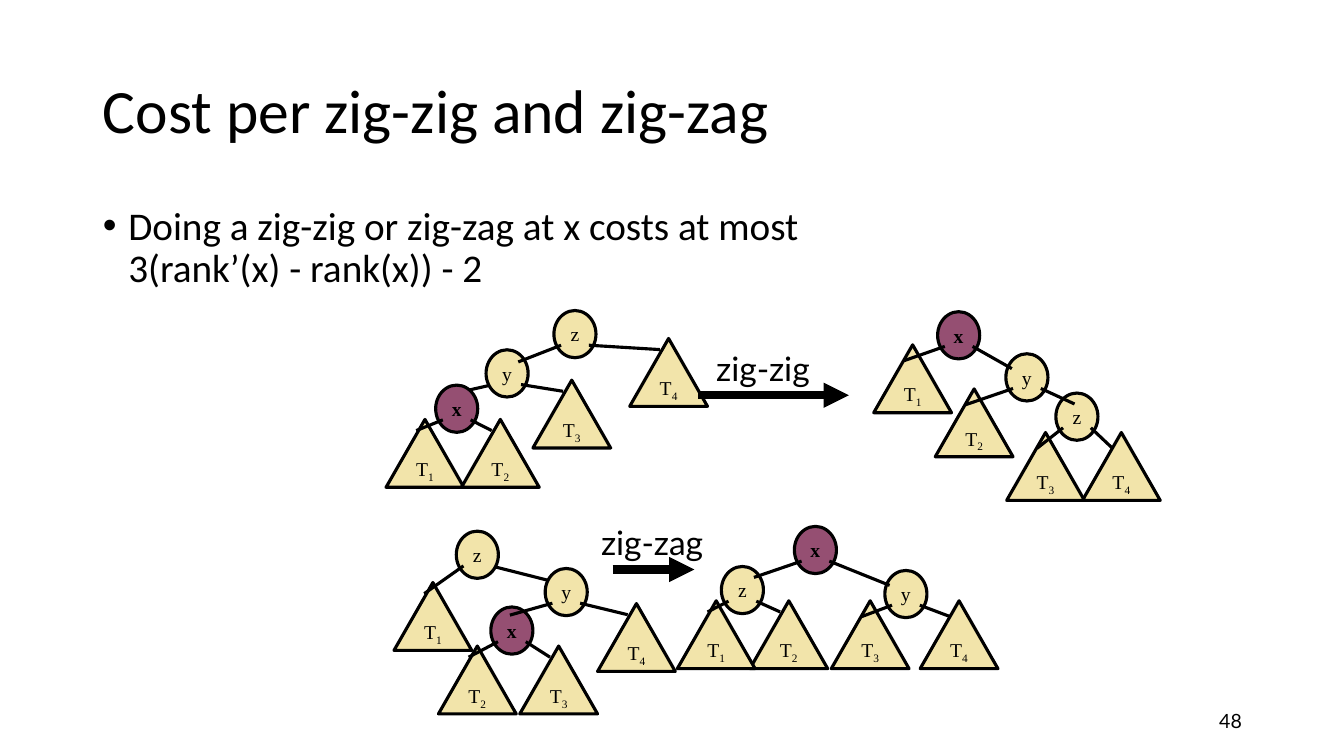
from dataclasses import dataclass

from lxml.etree import SubElement
from pptx import Presentation
from pptx.dml.color import RGBColor
from pptx.enum.shapes import MSO_CONNECTOR as Connector, MSO_SHAPE as Preset
from pptx.enum.text import MSO_ANCHOR as Anchor, MSO_AUTO_SIZE as AutoSize, PP_ALIGN as Align
from pptx.oxml.ns import qn
from pptx.util import Cm, Pt


@dataclass(frozen=True)
class Theme:
    ink: str = "000000"
    sand: str = "F2E4AA"
    plum: str = "954F72"
    heading_font: str = "Calibri"
    label_font: str = "Lato"
    tree_font: str = "Times New Roman"
    title_size: int = 44
    body_size: int = 28
    label_size: int = 24
    small_size: int = 14
    thin: float = 2.25
    thick: float = 6


@dataclass(frozen=True)
class Node:
    name: str
    x: float
    y: float
    parent: str = ""
    entry: tuple = (-0.22, 0.28)
    behind: bool = False


LOW_ENTRY = (-0.22, 0.4)
CIRCLE = (1.06, 1.19)
TRIANGLE = (1.96, 1.71)
EXIT = (0.35, 0.28)

ZIG_ZIG_BEFORE = [
    Node("y", 12.78, 9.41, "z", (0.28, -0.29)),
    Node("x", 11.51, 10.3, "y", (-0.05, -0.39), behind=True),
    Node("T1", 10.71, 10.57, "x"),
    Node("T2", 12.61, 10.57, "x"),
    Node("T3", 14.41, 9.58, "y"),
    Node("z", 14.49, 8.42),
    Node("T4", 16.85, 8.53, "z"),
]
ZIG_ZIG_AFTER = [
    Node("y", 25.88, 9.51, "x", (-0.38, -0.22)),
    Node("z", 27.14, 10.5, "y", (-0.06, -0.32)),
    Node("T4", 28.26, 10.9, "z", LOW_ENTRY),
    Node("T3", 26.35, 10.9, "z", LOW_ENTRY),
    Node("T2", 24.55, 9.8, "y", LOW_ENTRY),
    Node("x", 24.16, 8.45),
    Node("T1", 23, 8.69, "x", LOW_ENTRY),
]
ZIG_ZAG_BEFORE = [
    Node("y", 14.27, 14.92, "z", (-0.43, -0.29), behind=True),
    Node("x", 12.9, 15.89, "y", (-0.05, -0.39)),
    Node("T2", 12.03, 16.28, "x"),
    Node("T3", 14.08, 16.28, "x"),
    Node("T4", 16.04, 15.21, "y"),
    Node("z", 12.03, 13.98),
    Node("T1", 10.91, 14.68, "z"),
]
ZIG_ZAG_AFTER = [
    Node("y", 22.83, 14.97, "x", (-0.41, -0.22)),
    Node("x", 20.55, 13.86),
    Node("T2", 19.88, 15.14, "z"),
    Node("T3", 21.93, 15.14, "y", LOW_ENTRY),
    Node("T4", 24.17, 15.14, "y", LOW_ENTRY),
    Node("z", 18.71, 14.87, "x", (0.29, -0.32)),
    Node("T1", 18.05, 15.14, "z"),
]


class SlideBuilder:
    def __init__(self, slide, theme):
        self.slide = slide
        self.theme = theme

    def format_run(self, run, font, size, bold=False):
        run.font.name = font
        run.font.size = Pt(size)
        run.font.bold = bold
        run.font.color.rgb = RGBColor.from_string(self.theme.ink)

    def fill_placeholder(self, holder, text, box, size, anchor):
        holder.left, holder.top, holder.width, holder.height = map(Cm, box)
        frame = holder.text_frame
        frame.text = text
        frame.auto_size = AutoSize.NONE
        frame.vertical_anchor = anchor
        paragraph = frame.paragraphs[0]
        paragraph.alignment = Align.LEFT
        paragraph.line_spacing = 0.9
        paragraph.space_before = Pt(0)
        for run in paragraph.runs:
            self.format_run(run, self.theme.heading_font, size)
        return paragraph

    def title(self, text, box):
        self.fill_placeholder(self.slide.shapes.title, text, box, self.theme.title_size, Anchor.MIDDLE)

    def bullet(self, text, box):
        paragraph = self.fill_placeholder(
            self.slide.placeholders[1], text, box, self.theme.body_size, Anchor.TOP)
        properties = paragraph._p.get_or_add_pPr()
        properties.set("marL", str(Cm(0.64)))
        properties.set("indent", str(Cm(-0.64)))
        SubElement(properties, qn("a:buFont")).set("typeface", "Arial")
        SubElement(properties, qn("a:buChar")).set("char", "•")

    def label(self, text, box, size, align=Align.CENTER):
        frame = self.slide.shapes.add_textbox(*map(Cm, box)).text_frame
        frame.text = text
        frame.word_wrap = False
        frame.vertical_anchor = Anchor.MIDDLE
        frame.paragraphs[0].alignment = align
        self.format_run(frame.paragraphs[0].runs[0], self.theme.label_font, size)

    def line(self, start, end, weight):
        connector = self.slide.shapes.add_connector(Connector.STRAIGHT, *map(Cm, (*start, *end)))
        connector.line.color.rgb = RGBColor.from_string(self.theme.ink)
        connector.line.width = Pt(weight)
        SubElement(connector._element.spPr, qn("a:effectLst"))
        return connector

    def arrow(self, start, end):
        connector = self.line(start, end, self.theme.thick)
        SubElement(connector.line._get_or_add_ln(), qn("a:tailEnd")).set("type", "triangle")

    def node(self, node):
        subtree = node.name.startswith("T")
        pivot = node.name == "x"
        width, height = TRIANGLE if subtree else CIRCLE
        top = node.y if subtree else node.y - height / 2
        preset = Preset.ISOSCELES_TRIANGLE if subtree else Preset.OVAL
        shape = self.slide.shapes.add_shape(
            preset, Cm(node.x - width / 2), Cm(top), Cm(width), Cm(height))
        shape.shadow.inherit = False
        shape.fill.solid()
        shape.fill.fore_color.rgb = RGBColor.from_string(self.theme.plum if pivot else self.theme.sand)
        shape.line.color.rgb = RGBColor.from_string(self.theme.ink)
        shape.line.width = Pt(self.theme.thin)
        frame = shape.text_frame
        frame.word_wrap = False
        frame.vertical_anchor = Anchor.MIDDLE
        paragraph = frame.paragraphs[0]
        paragraph.alignment = Align.CENTER
        for letter in node.name:
            run = paragraph.add_run()
            run.text = letter
            self.format_run(run, self.theme.tree_font, self.theme.small_size, pivot)
            if letter.isdigit():
                run.font._element.set("baseline", "-25000")

    def edge(self, parent, child):
        side = 1 if child.x > parent.x else -1
        start = (parent.x + side * EXIT[0], parent.y + EXIT[1])
        end = (child.x + child.entry[0], child.y + child.entry[1])
        self.line(start, end, self.theme.thin)

    def tree(self, nodes):
        by_name = {node.name: node for node in nodes}
        children = [node for node in nodes if node.parent]
        for child in children:
            if child.behind:
                self.edge(by_name[child.parent], child)
        for node in nodes:
            self.node(node)
        for child in children:
            if not child.behind:
                self.edge(by_name[child.parent], child)


def main():
    deck = Presentation()
    deck.slide_width, deck.slide_height = Cm(33.87), Cm(19.05)
    theme = Theme()
    page = SlideBuilder(deck.slides.add_slide(deck.slide_layouts[1]), theme)
    page.title("Cost per zig-zig and zig-zag", (2.34, 1.02, 29.21, 3.68))
    page.bullet("Doing a zig-zig or zig-zag at x costs at most\v3(rank’(x) - rank(x)) - 2",
                (2.34, 5.08, 29.21, 12.09))
    page.label("48", (23.93, 17.65, 7.62, 1.02), theme.small_size, Align.RIGHT)
    for nodes in (ZIG_ZIG_BEFORE, ZIG_ZIG_AFTER, ZIG_ZAG_BEFORE, ZIG_ZAG_AFTER):
        page.tree(nodes)
    page.label("zig-zig", (17.78, 8.64, 2.9, 1.27), theme.label_size)
    page.arrow((17.58, 9.96), (21.39, 9.96))
    page.label("zig-zag", (14.86, 13.03, 3.15, 1.27), theme.label_size)
    page.arrow((15.44, 14.35), (17.5, 14.35))
    deck.save("out.pptx")


if __name__ == "__main__":
    main()
